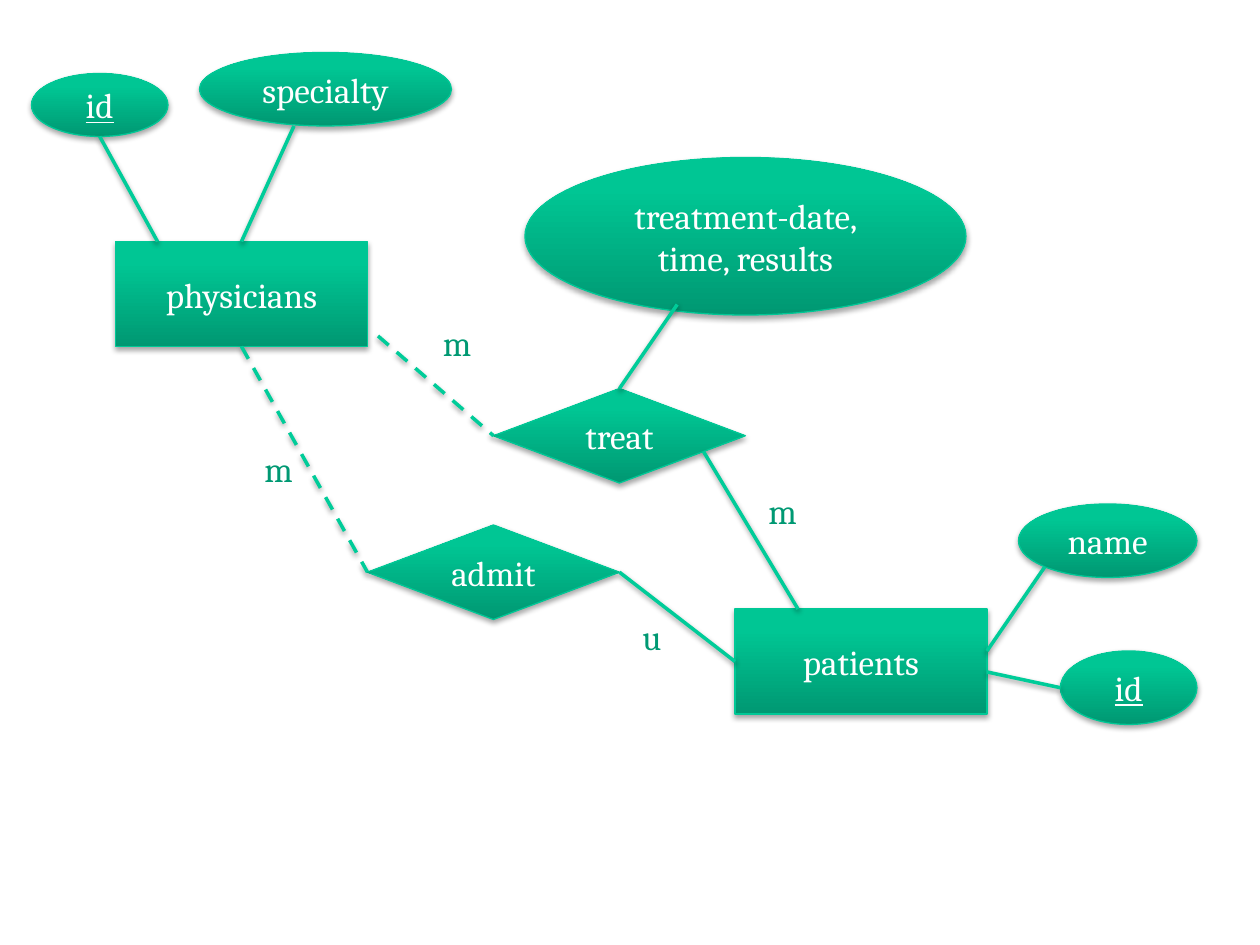
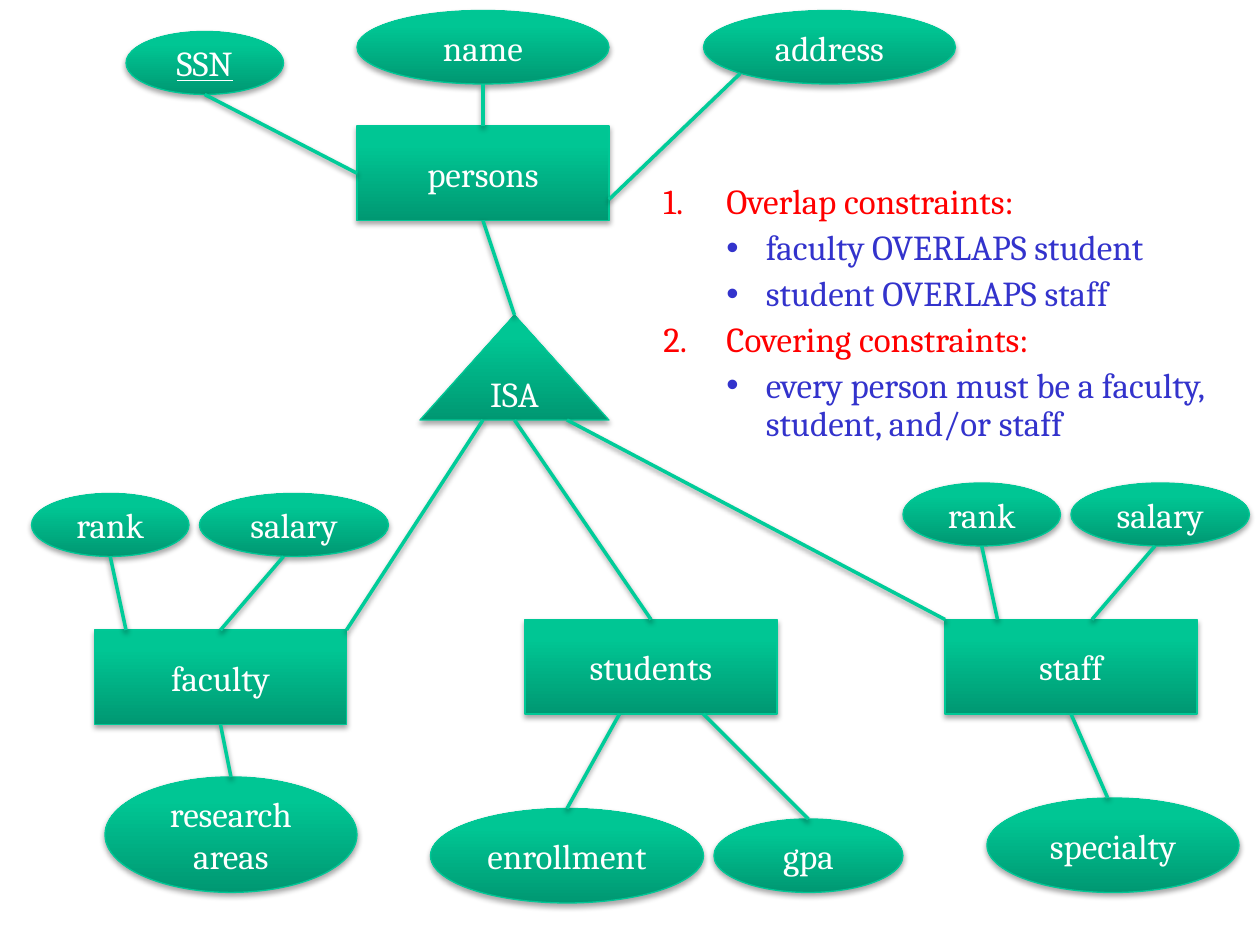
from lxml import etree
from pptx import Presentation
from pptx import util as u
from pptx.dml.color import RGBColor
from pptx.enum import dml, shapes, text
from pptx.oxml import ns

Pt = u.Pt
FONT = "Cambria"
WHITE, EDGE, LINE, LABEL = "FFFFFF", "00C896", "00CC99", "009973"
RED, BLUE = "FF0000", "3333CC"
GRADIENT = [(0, "009872"), (80, "00C694"), (100, "00C795")]

ENTITY = shapes.MSO_SHAPE.RECTANGLE
ATTRIBUTE = shapes.MSO_SHAPE.OVAL
RELATION = shapes.MSO_SHAPE.DIAMOND
HIERARCHY = shapes.MSO_SHAPE.ISOSCELES_TRIANGLE

# Nodes: kind, text, left, top, width, height (points)
TREATMENT_NODES = [
    (ENTITY, "physicians", 66, 138, 144, 60),
    (RELATION, "admit", 210, 300, 144, 54),
    (ENTITY, "patients", 420, 348, 144, 60),
    (ATTRIBUTE, "id", 18, 42, 78, 36),
    (ATTRIBUTE, "specialty", 114, 30, 144, 42),
    (ATTRIBUTE, "id", 606, 372, 78, 42),
    (ATTRIBUTE, "name", 582, 288, 102, 42),
    (RELATION, "treat", 282, 222, 144, 54),
    (ATTRIBUTE, "treatment-date, time, results", 300, 90, 252, 90),
]
# Links: x1, y1, x2, y2
TREATMENT_LINKS = [
    (354, 327, 420, 378),
    (90, 138, 57, 78),
    (138, 138, 168, 72),
    (606, 393, 564, 384),
    (564, 372, 597, 324),
    (402, 258, 456, 348),
    (354, 222, 387, 174),
]
PARTIAL_LINKS = [(138, 198, 210, 327), (216, 192, 282, 249)]
CARDINALITIES = [("m", 144, 252), ("u", 360, 348), ("m", 432, 276), ("m", 246, 180)]

PERSON_NODES = [
    (ENTITY, "persons", 204, 72, 144, 54),
    (ATTRIBUTE, "SSN", 72, 18, 90, 36),
    (ATTRIBUTE, "name", 204, 6, 144, 42),
    (ATTRIBUTE, "address", 402, 6, 144, 42),
    (HIERARCHY, "ISA", 240, 180, 108, 60),
    (ENTITY, "faculty", 54, 360, 144, 54),
    (ENTITY, "students", 300, 354, 144, 54),
    (ENTITY, "staff", 540, 354, 144, 54),
    (ATTRIBUTE, "rank", 18, 282, 90, 36),
    (ATTRIBUTE, "salary", 114, 282, 108, 36),
    (ATTRIBUTE, "research areas", 60, 444, 144, 66),
    (ATTRIBUTE, "enrollment", 246, 462, 156, 54),
    (ATTRIBUTE, "gpa", 408, 468, 108, 42),
    (ATTRIBUTE, "rank", 516, 276, 90, 36),
    (ATTRIBUTE, "salary", 612, 276, 102, 36),
    (ATTRIBUTE, "specialty", 564, 456, 144, 54),
]
PERSON_LINKS = [
    (204, 99, 117, 54),
    (276, 72, 276, 48),
    (348, 114, 423, 42),
    (72, 360, 63, 318),
    (126, 360, 162, 318),
    (132, 444, 126, 414),
    (294, 180, 276, 126),
    (570, 354, 561, 312),
    (624, 354, 660, 312),
    (633, 456, 612, 408),
    (324, 462, 354, 408),
    (462, 468, 402, 408),
    (198, 360, 276, 240),
    (372, 354, 294, 240),
    (540, 354, 324, 240),
]
KEYS = {"id", "SSN"}

# Constraints: level, text
CONSTRAINTS = [
    (0, "Overlap constraints:"),
    (1, "faculty OVERLAPS student"),
    (1, "student OVERLAPS staff"),
    (0, "Covering constraints:"),
    (1, "every person must be a faculty, student, and/or staff"),
]


def rgb(color):
    return RGBColor.from_string(color)


def add_xml(parent, tag, **attrs):
    return etree.SubElement(parent, ns.qn(tag), {k: str(v) for k, v in attrs.items()})


def add_color(parent, color):
    return add_xml(parent, "a:srgbClr", val=color)


def add_gradient(sp_pr):
    grad = add_xml(sp_pr, "a:gradFill", rotWithShape=1)
    stops = add_xml(grad, "a:gsLst")
    for percent, color in GRADIENT:
        add_color(add_xml(stops, "a:gs", pos=percent * 1000), color)
    add_xml(grad, "a:lin", ang=270 * 60000, scaled=0)


def add_shadow(sp_pr, distance, opacity):
    effects = add_xml(sp_pr, "a:effectLst")
    shadow = add_xml(effects, "a:outerShdw", blurRad=Pt(3.15), dist=Pt(distance),
                     dir=90 * 60000, rotWithShape=0)
    add_xml(add_color(shadow, "000000"), "a:alpha", val=opacity * 1000)


def style_text(p, color):
    for r in p.runs:
        r.font.name, r.font.size = FONT, Pt(20)
        r.font.color.rgb = rgb(color)


def add_node(slide, kind, label, left, top, width, height):
    s = slide.shapes.add_shape(kind, Pt(left), Pt(top), Pt(width), Pt(height))
    sp_pr = s.element.spPr
    add_gradient(sp_pr)
    s.line.color.rgb = rgb(EDGE)
    s.line.width = Pt(0.75)
    add_shadow(sp_pr, 1.8, 35)
    tf = s.text_frame
    tf.text = label
    tf.vertical_anchor = text.MSO_ANCHOR.MIDDLE
    p = tf.paragraphs[0]
    p.alignment = text.PP_ALIGN.CENTER
    style_text(p, WHITE)
    if label in KEYS:
        p.runs[0].font.underline = True


def add_link(slide, x1, y1, x2, y2, dashed=False):
    s = slide.shapes.add_connector(shapes.MSO_CONNECTOR.STRAIGHT, Pt(x1), Pt(y1), Pt(x2), Pt(y2))
    s.line.color.rgb = rgb(LINE)
    s.line.width = Pt(2)
    if dashed:
        s.line.dash_style = dml.MSO_LINE.DASH
    add_shadow(s.element.spPr, 1.6, 38)


def add_cardinality(slide, label, left, top):
    tf = slide.shapes.add_textbox(Pt(left), Pt(top), Pt(32), Pt(32)).text_frame
    tf.word_wrap = False
    tf.text = label
    style_text(tf.paragraphs[0], LABEL)


def add_constraints(slide, items, left, top, width, height):
    tf = slide.shapes.add_textbox(Pt(left), Pt(top), Pt(width), Pt(height)).text_frame
    tf.word_wrap = True
    tf.text = "\n".join(label for _, label in items)
    for p, (level, _) in zip(tf.paragraphs, items):
        p.level = level
        p.line_spacing = 0.9
        p.space_before = Pt(4.6)
        style_text(p, BLUE if level else RED)
        margin, indent = (58.5, -22.5) if level else (36, -36)
        p_pr = p._p.get_or_add_pPr()
        p_pr.set("marL", str(Pt(margin)))
        p_pr.set("indent", str(Pt(indent)))
        if level:
            add_xml(p_pr, "a:buFont", typeface="Arial")
            add_xml(p_pr, "a:buChar", char="•")
        else:
            add_xml(p_pr, "a:buFont", typeface="+mj-lt")
            add_xml(p_pr, "a:buAutoNum", type="arabicPeriod")


def add_diagram(prs, nodes, links, partial_links=()):
    slide = prs.slides.add_slide(prs.slide_layouts[6])
    for node in nodes:
        add_node(slide, *node)
    for link in links:
        add_link(slide, *link)
    for link in partial_links:
        add_link(slide, *link, dashed=True)
    return slide


def main():
    prs = Presentation()
    prs.slide_width, prs.slide_height = Pt(720), Pt(540)

    # Physicians and patients
    slide = add_diagram(prs, TREATMENT_NODES, TREATMENT_LINKS, PARTIAL_LINKS)
    for cardinality in CARDINALITIES:
        add_cardinality(slide, *cardinality)

    # Persons hierarchy
    slide = add_diagram(prs, PERSON_NODES, PERSON_LINKS)
    add_constraints(slide, CONSTRAINTS, 372, 102, 336, 158)

    prs.save("out.pptx")


if __name__ == "__main__":
    main()
